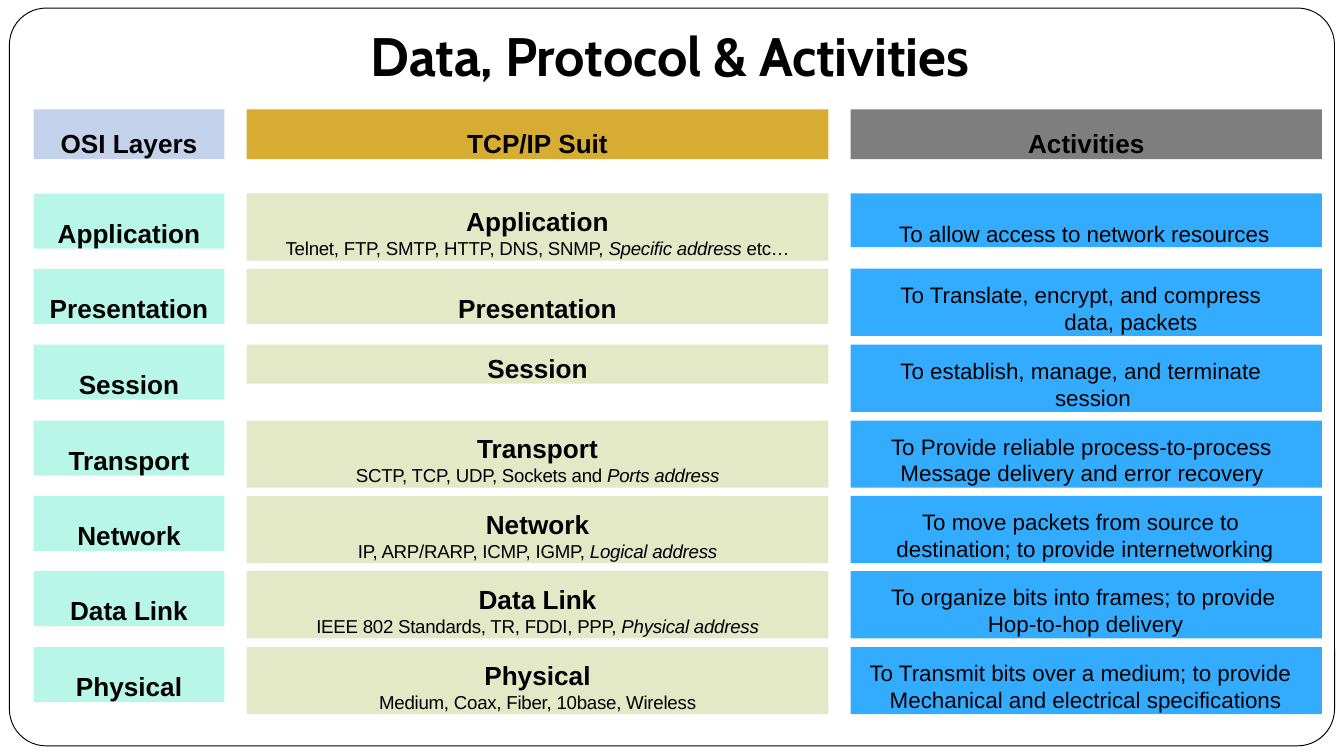
import pptx
import pptx.util
import pptx.dml.color
import pptx.enum.shapes
import pptx.enum.text
import lxml.etree

PX = 4572
COLORS = {
    "ink": "000000", "paper": "FFFFFF",
    "osi_head": "B6C6E6", "tcp_head": "CC9800", "act_head": "5E5E5E",
    "osi": "A7F5E2", "tcp": "DDE3B9", "act": "0098FF",
}
COLUMNS = {"osi": (50, 284), "tcp": (367, 866), "act": (1266, 701)}
HEADERS = {"osi": "OSI Layers", "tcp": "TCP/IP Suit", "act": "Activities"}
HEAD_TOP, HEAD_H, HEAD_PAD = 163, 74, 26
ROW_TOP, ROW_PITCH = 288, 112.5
TALL, MEDIUM, SHORT = (100, 18), (82, 35), (58, 12)

LAYERS = [
    ("Application", TALL,
     ["Telnet, FTP, SMTP, HTTP, DNS, SNMP, ", "Specific address ", "etc…"],
     "To allow access to network resources", (80, 39), (72, 0)),
    ("Presentation", MEDIUM, [],
     "To Translate, encrypt, and compress\vdata, packets", TALL, (318, -244)),
    ("Session", SHORT, [],
     "To establish, manage, and terminate session", TALL, (304, -230)),
    ("Transport", TALL,
     ["SCTP, TCP, UDP, Sockets and ", "Ports address"],
     "To Provide reliable process-to-process Message delivery and error recovery",
     TALL, (74, -14)),
    ("Network", TALL,
     ["IP, ARP/RARP, ICMP, IGMP, ", "Logical address"],
     "To move packets from source to destination; to provide internetworking",
     TALL, (68, 38)),
    ("Data Link", TALL,
     ["IEEE 802 Standards, TR, FDDI, PPP, ", "Physical address"],
     "To organize bits into frames; to provide\vHop-to-hop delivery",
     TALL, (204, -144)),
    ("Physical", TALL,
     ["Medium, Coax, Fiber, 10base, Wireless"],
     "To Transmit bits over a medium; to provide Mechanical and electrical specifications",
     TALL, (58, -30)),
]


class Deck:
    font = "Arial"
    alpha = 80

    def __init__(self, width, height):
        self.prs = pptx.Presentation()
        self.prs.slide_width = width * PX
        self.prs.slide_height = height * PX
        self.s = self.prs.slides.add_slide(self.prs.slide_layouts[5])

    def rgb(self, name):
        return pptx.dml.color.RGBColor.from_string(COLORS[name])

    def place(self, sp, x, y, w, h):
        sp.left, sp.top, sp.width, sp.height = (v * PX for v in (x, y, w, h))

    def style(self, r, size, bold=False, italic=False, font=None, spacing=0):
        r.font.name = font or self.font
        r.font.size = pptx.util.Pt(size)
        r.font.bold = bold
        r.font.italic = italic
        r.font.color.rgb = self.rgb("ink")
        if spacing:
            r._r.get_or_add_rPr().set("spc", str(spacing))

    def frame_text(self, sp, pad):
        tf = sp.text_frame
        tf.word_wrap = True
        tf.auto_size = pptx.enum.text.MSO_AUTO_SIZE.NONE
        tf.vertical_anchor = pptx.enum.text.MSO_ANCHOR.TOP
        tf.margin_left = tf.margin_right = tf.margin_bottom = 0
        tf.margin_top = pad * PX
        return tf

    def border(self, x, y, w, h):
        sp = self.s.shapes.add_shape(
            pptx.enum.shapes.MSO_SHAPE.ROUNDED_RECTANGLE, 0, 0, 0, 0)
        self.place(sp, x, y, w, h)
        sp.adjustments[0] = 0.05
        sp.shadow.inherit = False
        sp.fill.solid()
        sp.fill.fore_color.rgb = self.rgb("paper")
        sp.line.color.rgb = self.rgb("ink")
        sp.line.width = pptx.util.Pt(0.5)

    def title(self, text, x, y, w, h):
        sp = self.s.shapes.title
        self.s.shapes._spTree.append(sp._element)
        self.place(sp, x, y, w, h)
        tf = self.frame_text(sp, 2)
        tf.vertical_anchor = pptx.enum.text.MSO_ANCHOR.BOTTOM
        tf.text = text
        p = tf.paragraphs[0]
        p.alignment = pptx.enum.text.PP_ALIGN.LEFT
        self.style(p.runs[0], 29, bold=True, font="Cabin", spacing=-10)

    def box(self, color, x, y, w, h, pad):
        sp = self.s.shapes.add_shape(
            pptx.enum.shapes.MSO_SHAPE.RECTANGLE, 0, 0, 0, 0)
        self.place(sp, x, y, w, h)
        sp.shadow.inherit = False
        sp.line.fill.background()
        sp.fill.solid()
        sp.fill.fore_color.rgb = self.rgb(color)
        clr = sp._element.spPr.find(".//" + pptx.oxml.ns.qn("a:srgbClr"))
        lxml.etree.SubElement(clr, pptx.oxml.ns.qn("a:alpha"),
                              val=str(self.alpha * 1000))
        return self.frame_text(sp, pad)

    def label(self, tf, text):
        tf.text = text
        p = tf.paragraphs[0]
        p.alignment = pptx.enum.text.PP_ALIGN.CENTER
        self.style(p.runs[0], 14, bold=True)

    def protocols(self, tf, parts):
        p = tf.add_paragraph()
        p.alignment = pptx.enum.text.PP_ALIGN.CENTER
        for i, part in enumerate(parts):
            r = p.add_run()
            r.text = part
            self.style(r, 10, italic=i == 1, spacing=-10)

    def activity(self, tf, text, margin, indent):
        p = tf.paragraphs[0]
        p.text = text
        p.alignment = pptx.enum.text.PP_ALIGN.LEFT
        pPr = p._p.get_or_add_pPr()
        pPr.set("marL", str(margin * PX))
        pPr.set("indent", str(indent * PX))
        for r in p.runs:
            self.style(r, 12)


def main():
    deck = Deck(2000, 1125)
    deck.border(14, 12, 1972, 1098)
    for key, (x, w) in COLUMNS.items():
        tf = deck.box(key + "_head", x, HEAD_TOP, w, HEAD_H, HEAD_PAD)
        deck.label(tf, HEADERS[key])
    for i, (name, tcp_size, parts, task, act_size, indents) in enumerate(LAYERS):
        y = ROW_TOP + round(i * ROW_PITCH)
        sizes = {"osi": MEDIUM, "tcp": tcp_size, "act": act_size}
        cells = {key: deck.box(key, x, y, w, *sizes[key])
                 for key, (x, w) in COLUMNS.items()}
        deck.label(cells["osi"], name)
        deck.label(cells["tcp"], name)
        if parts:
            deck.protocols(cells["tcp"], parts)
        deck.activity(cells["act"], task, *indents)
    deck.title("Data, Protocol & Activities", 552, 30, 1050, 100)
    deck.prs.save("out.pptx")


if __name__ == "__main__":
    main()
